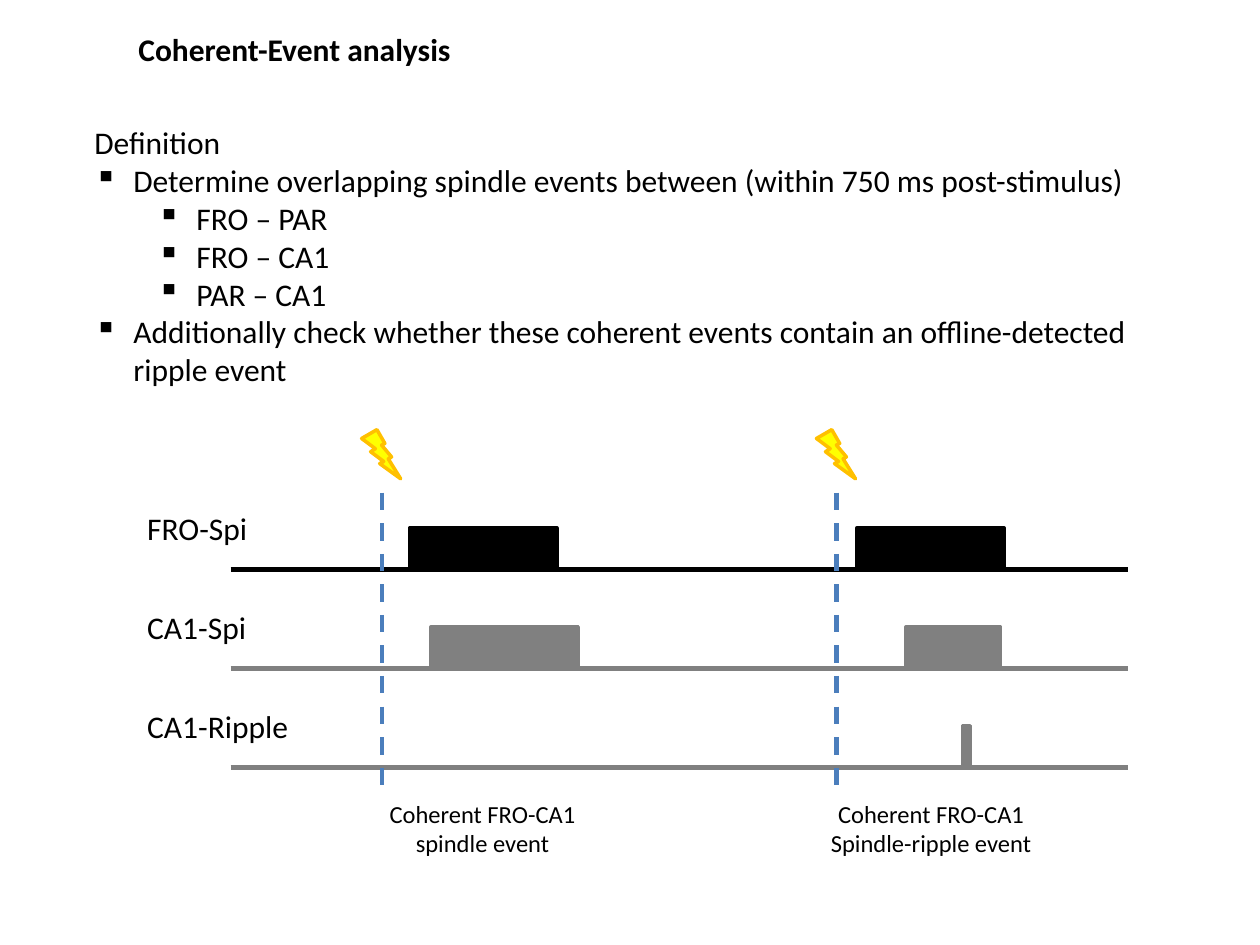
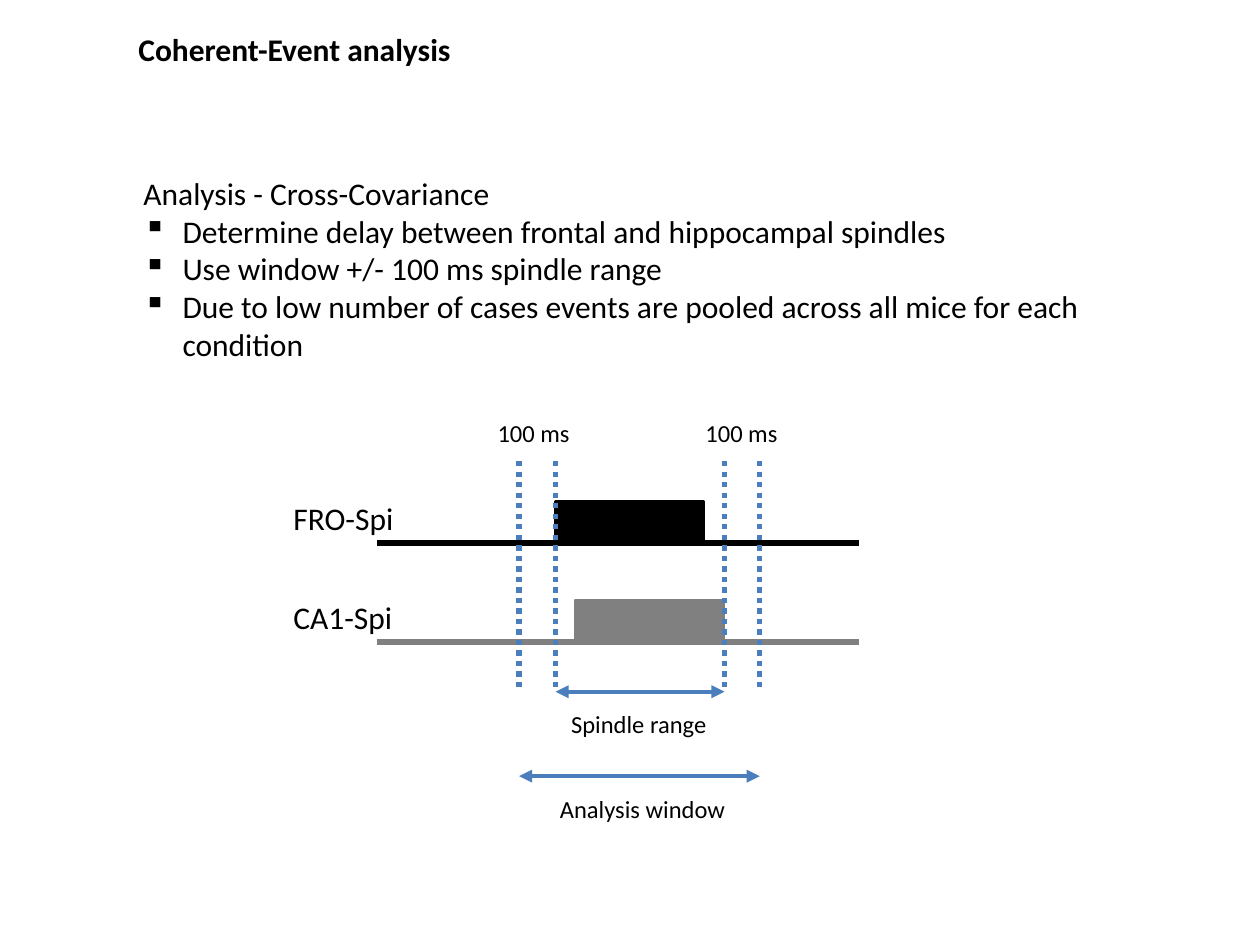
"""Build two slides that explain the coherent-event analysis with timing diagrams."""
from lxml import etree
from pptx import Presentation
from pptx.dml.color import RGBColor
from pptx.enum.dml import MSO_LINE
from pptx.enum.shapes import MSO_CONNECTOR, MSO_SHAPE
from pptx.enum.text import MSO_AUTO_SIZE, PP_ALIGN
from pptx.oxml.ns import qn
from pptx.util import Inches, Pt

RECTANGLE, BOLT = MSO_SHAPE.RECTANGLE, MSO_SHAPE.LIGHTNING_BOLT
STRAIGHT = MSO_CONNECTOR.STRAIGHT
DASH, DOT = MSO_LINE.DASH, MSO_LINE.ROUND_DOT
LEFT, CENTER = PP_ALIGN.LEFT, PP_ALIGN.CENTER
FIT = MSO_AUTO_SIZE.SHAPE_TO_FIT_TEXT

BLACK = RGBColor(0x00, 0x00, 0x00)
GRAY = RGBColor(0x80, 0x80, 0x80)
BLUE = RGBColor(0x4B, 0x7E, 0xBC)
YELLOW = RGBColor(0xFF, 0xFF, 0x00)
GOLD = RGBColor(0xFF, 0xC0, 0x00)

FONT, BODY, SMALL = "Calibri", 18, 14
HANG, LEVEL_STEP = 0.31, 0.5
ROW_PITCH, BLOCK_HEIGHT = 0.785, 0.33
LABEL_HEIGHT, CAPTION_HEIGHT = 0.4, 0.34
BLOCK_WIDTH = 1.17

TITLE = "Coherent-Event analysis"

DEFINITION = [
    (None, "Definition"),
    (0, "Determine overlapping spindle events between (within 750 ms post-stimulus)"),
    (1, "FRO – PAR"),
    (1, "FRO – CA1"),
    (1, "PAR – CA1"),
    (0, "Additionally check whether these coherent events contain "
        "an offline-detected ripple event"),
]
STIMULUS_TRACES = [
    ("FRO-Spi", 1.25, BLACK, [(3.25, BLOCK_WIDTH), (6.8, BLOCK_WIDTH)]),
    ("CA1-Spi", 1.25, GRAY, [(3.42, BLOCK_WIDTH), (7.19, 0.75)]),
    ("CA1-Ripple", 1.49, GRAY, [(7.64, 0.06)]),
]
STIMULI = [
    (3.03, 2.83, ["Coherent FRO-CA1", "spindle event"]),
    (6.64, 6.39, ["Coherent FRO-CA1", "Spindle-ripple event"]),
]

COVARIANCE = [
    (None, "Analysis - Cross-Covariance"),
    (0, "Determine delay between frontal and hippocampal spindles"),
    (0, "Use window +/- 100 ms spindle range"),
    (0, "Due to low number of cases events are pooled across all mice for each condition"),
]
WINDOW_TRACES = [
    ("FRO-Spi", 1.25, BLACK, [(4.41, BLOCK_WIDTH)]),
    ("CA1-Spi", 1.25, GRAY, [(4.57, BLOCK_WIDTH)]),
]
WINDOW_START, SPINDLE_START, SPINDLE_END, WINDOW_END = 4.12, 4.41, 5.75, 6.03
MARGINS = [(3.82, "100 ms"), (5.47, "100 ms")]
RANGES = [
    (SPINDLE_START, SPINDLE_END, 5.49, 4.07, "Spindle range"),
    (WINDOW_START, WINDOW_END, 6.16, 4.1, "Analysis window"),
]


def add_text(slide, area, lines, size=BODY, bold=False, align=LEFT):
    """Add a text box; each line is a pair of bullet level (or None) and text."""
    box = slide.shapes.add_textbox(*map(Inches, area))
    frame = box.text_frame
    frame.word_wrap = True
    frame.auto_size = FIT
    for index, (level, text) in enumerate(lines):
        para = frame.paragraphs[0] if index == 0 else frame.add_paragraph()
        para.alignment = align
        if level is not None:
            para.level = level
            properties = para._p.get_or_add_pPr()
            properties.set("marL", str(Inches(HANG + level * LEVEL_STEP)))
            properties.set("indent", str(-Inches(HANG)))
            etree.SubElement(properties, qn("a:buChar")).set("char", "▪")
        span = para.add_run()
        span.text = text
        span.font.name = FONT
        span.font.size = Pt(size)
        span.font.bold = bold
        span.font.color.rgb = BLACK


def add_caption(slide, left, top, width, texts):
    """Add small centred lines."""
    area = (left, top, width, CAPTION_HEIGHT)
    add_text(slide, area, [(None, text) for text in texts], SMALL, align=CENTER)


def add_line(slide, start, end, color, width, dash=None, arrows=False):
    """Add a straight line, with a dash style or arrowheads if asked."""
    line = slide.shapes.add_connector(STRAIGHT, *map(Inches, start + end))
    line.line.color.rgb = color
    line.line.width = Pt(width)
    if dash:
        line.line.dash_style = dash
    properties = line._element.spPr
    if arrows:
        outline = properties.find(qn("a:ln"))
        for tag in ("a:headEnd", "a:tailEnd"):
            etree.SubElement(outline, qn(tag)).set("type", "triangle")
    etree.SubElement(properties, qn("a:effectLst"))


def add_figure(slide, preset, area, fill, outline):
    """Add a filled preset shape."""
    shape = slide.shapes.add_shape(preset, *map(Inches, area))
    shape.shadow.inherit = False
    shape.fill.solid()
    shape.fill.fore_color.rgb = fill
    shape.line.color.rgb = outline
    shape.line.width = Pt(2)


def add_traces(slide, traces, first_baseline, left, right, label_left, label_rise):
    """Draw evenly spaced baselines with event blocks and labels."""
    for row, (label, label_width, color, events) in enumerate(traces):
        baseline = first_baseline + row * ROW_PITCH
        add_line(slide, (left, baseline), (right, baseline), color, 3)
        for start, width in events:
            block = (start, baseline - BLOCK_HEIGHT, width, BLOCK_HEIGHT)
            add_figure(slide, RECTANGLE, block, color, color)
        area = (label_left, baseline - label_rise, label_width, LABEL_HEIGHT)
        add_text(slide, area, [(None, label)])


def add_titled_slide(deck):
    """Add a blank slide with the shared title."""
    slide = deck.slides.add_slide(deck.slide_layouts[6])
    add_text(slide, (1, 0.19, 8, LABEL_HEIGHT), [(None, TITLE)], bold=True)
    return slide


def build_definition(deck):
    """Show the definition and the stimulus diagram."""
    slide = add_titled_slide(deck)
    add_text(slide, (0.65, 0.93, 8.69, 2.22), DEFINITION)
    add_traces(slide, STIMULUS_TRACES, 4.52, 1.83, 8.95, 1.07, 0.53)
    for onset, caption_left, caption in STIMULI:
        add_caption(slide, caption_left, 6.29, 2, caption)
        add_line(slide, (onset, 3.91), (onset, 6.23), BLUE, 2.5, DASH)
        add_figure(slide, BOLT, (onset - 0.16, 3.41, 0.31, 0.39), YELLOW, GOLD)


def build_covariance(deck):
    """Show the cross-covariance steps and the window diagram."""
    slide = add_titled_slide(deck)
    add_text(slide, (1.04, 1.33, 7.92, 1.62), COVARIANCE)
    add_traces(slide, WINDOW_TRACES, 4.31, 2.99, 6.82, 2.23, 0.4)
    for x in (WINDOW_START, SPINDLE_START, SPINDLE_END, WINDOW_END):
        add_line(slide, (x, 3.66), (x, 5.49), BLUE, 3, DOT)
    for left, text in MARGINS:
        add_caption(slide, left, 3.27, 0.83, [text])
    for start, end, height, caption_left, caption in RANGES:
        add_line(slide, (start, height), (end, height), BLUE, 2.5, arrows=True)
        add_caption(slide, caption_left, height + 0.09, 2, [caption])


def main():
    """Build and save the deck."""
    deck = Presentation()
    deck.slide_width, deck.slide_height = Inches(10), Inches(7.5)
    build_definition(deck)
    build_covariance(deck)
    deck.save("out.pptx")


if __name__ == "__main__":
    main()
